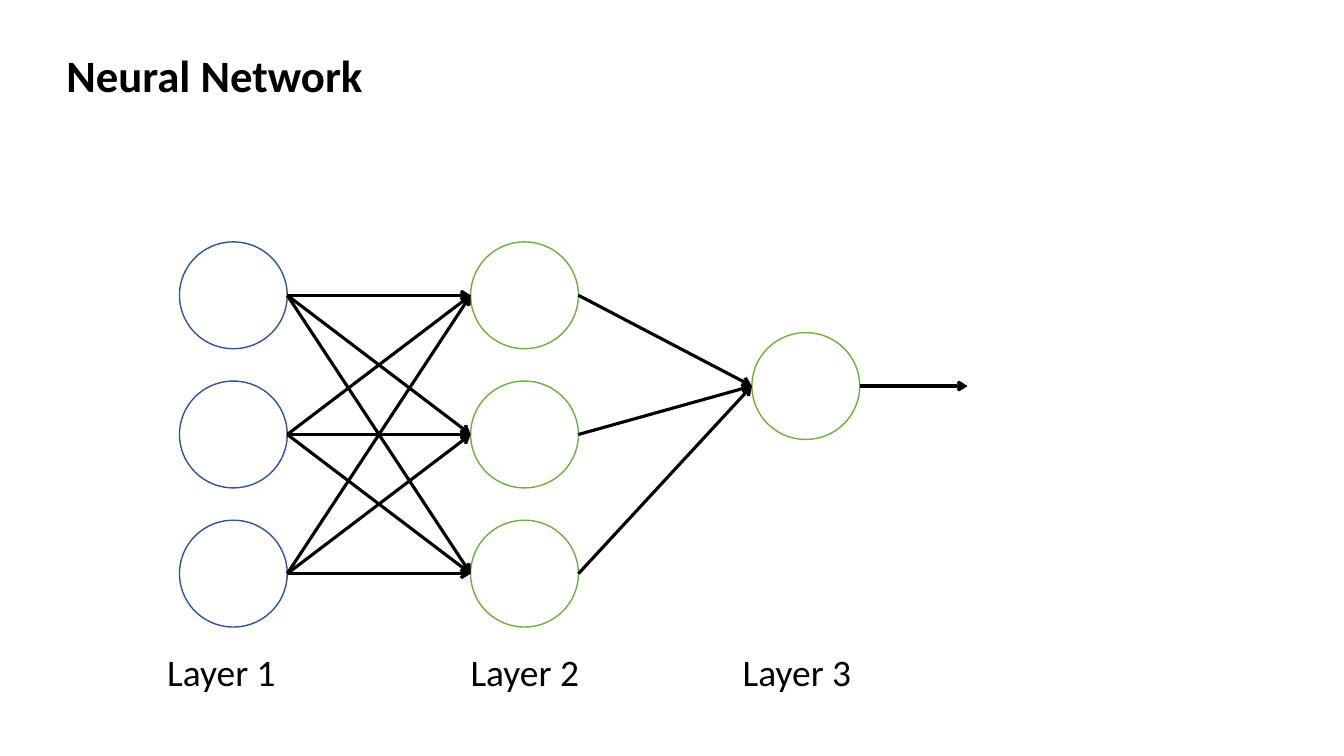
"""Build a slide showing a three-layer neural network."""
from lxml import etree
from pptx import Presentation
from pptx import util as u
from pptx.dml.color import RGBColor
from pptx.enum import shapes, text
from pptx.oxml import ns

NODE_WIDTH, NODE_HEIGHT = 77, 76.3
COLUMN_TOPS = [172.8 + 99.4 * row for row in range(3)]
LAYERS = [
    ("Layer 1", 112.3, 128.2, COLUMN_TOPS, "325491"),
    ("Layer 2", 329, 336.2, COLUMN_TOPS, "70AD47"),
    ("Layer 3", 523.4, 537.1, [237.6], "70AD47"),
]


def color(value):
    return RGBColor.from_string(value)


def add_text(words, left, top, width, height, size, bold, wrap):
    shape = slide.shapes.add_textbox(u.Pt(left), u.Pt(top), u.Pt(width), u.Pt(height))
    frame = shape.text_frame
    frame.word_wrap = wrap
    frame.auto_size = text.MSO_AUTO_SIZE.SHAPE_TO_FIT_TEXT
    run = frame.paragraphs[0].add_run()
    run.text = words
    run.font.name = "Calibri"
    run.font.size = u.Pt(size)
    run.font.bold = bold
    run.font.color.rgb = color("000000")


presentation = Presentation()
presentation.slide_width, presentation.slide_height = u.Pt(960), u.Pt(540)
slide = presentation.slides.add_slide(presentation.slide_layouts[6])

add_text("Neural Network", 40.3, 30.2, 672, 46, 32, True, True)

for label, label_left, left, tops, outline in LAYERS:
    add_text(label, label_left, 460, 93, 39.6, 26.7, False, False)
    for top in tops:
        node = slide.shapes.add_shape(
            shapes.MSO_SHAPE.OVAL,
            u.Pt(left), u.Pt(top), u.Pt(NODE_WIDTH), u.Pt(NODE_HEIGHT))
        node.shadow.inherit = False
        node.fill.solid()
        node.fill.fore_color.rgb = color("FFFFFF")
        node.line.color.rgb = color(outline)
        node.line.width = u.Pt(1)

arrows = []
for source, target in zip(LAYERS, LAYERS[1:]):
    for source_top in source[3]:
        for target_top in target[3]:
            arrows.append((source[2] + NODE_WIDTH, source_top, target[2], target_top))
output_left, output_top = LAYERS[-1][2] + NODE_WIDTH, LAYERS[-1][3][0]
arrows.append((output_left, output_top, output_left + NODE_WIDTH, output_top))

for start_x, start_top, end_x, end_top in arrows:
    arrow = slide.shapes.add_connector(
        shapes.MSO_CONNECTOR.STRAIGHT,
        u.Pt(start_x), u.Pt(start_top + NODE_HEIGHT / 2),
        u.Pt(end_x), u.Pt(end_top + NODE_HEIGHT / 2))
    arrow.line.color.rgb = color("000000")
    arrow.line.width = u.Pt(2.25)
    etree.SubElement(arrow.line._get_or_add_ln(), ns.qn("a:tailEnd"), type="arrow")
    etree.SubElement(arrow._element.spPr, ns.qn("a:effectLst"))

presentation.save("out.pptx")
